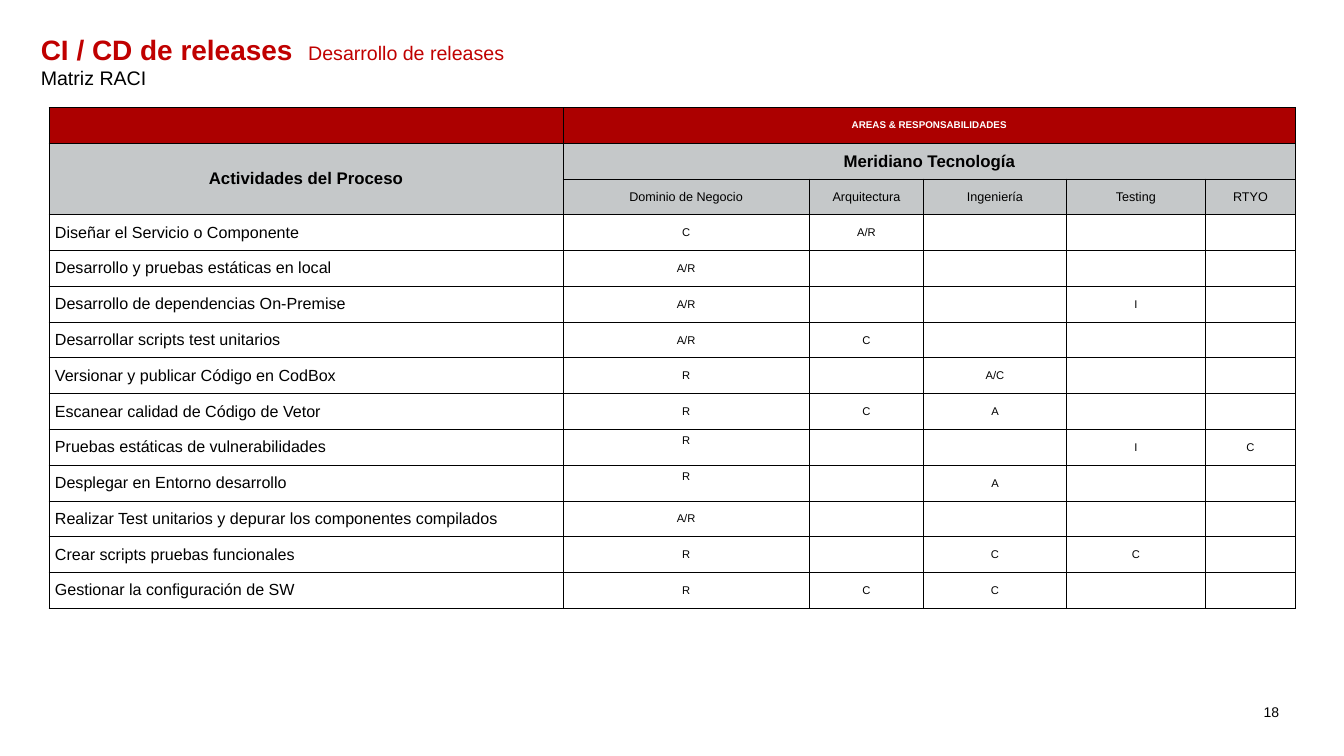
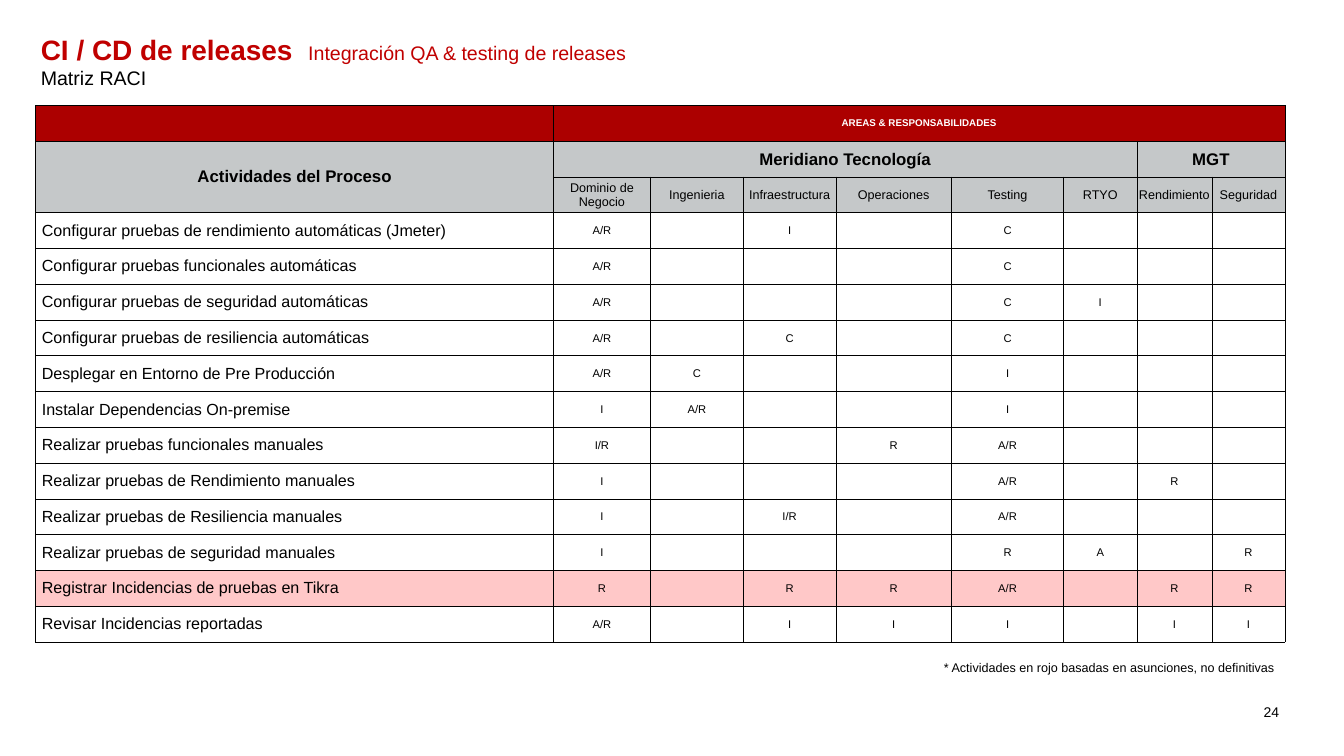
from pptx import Presentation
from pptx.dml.color import RGBColor
from pptx.enum.text import MSO_ANCHOR, MSO_AUTO_SIZE, PP_ALIGN
from pptx.oxml.xmlchemy import OxmlElement
from pptx.util import Inches, Pt

LEFT, CENTER = PP_ALIGN.LEFT, PP_ALIGN.CENTER
TOP, MIDDLE = MSO_ANCHOR.TOP, MSO_ANCHOR.MIDDLE
NO_FIT = MSO_AUTO_SIZE.NONE
TITLE_ONLY = 5

COLORS = {"title": "C00000", "band": "AC0000", "header": "C5C8C9",
          "assumed": "FFC8C8", "text": "000000", "white": "FFFFFF"}
FONT = "Arial"
ROW_H = 0.71
HEADER_ROWS = 3
TIGHT = (0.01, 0.01, 0.01, 0)
RAISED = (0.01, 0.01, 0.01, 0.28)
ACTIVITY = (0.12, 0.1, 0.08, 0.1)

DEVELOPMENT = {
    "box": (0.97, 2.13),
    "widths": [10.2, 4.89, 2.27, 2.83, 2.76, 1.79],
    "groups": [("Meridiano Tecnología", 5)],
    "areas": ["Dominio de Negocio", "Arquitectura", "Ingeniería", "Testing", "RTYO"],
    "rows": [
        ("Diseñar el Servicio o Componente", "C|A/R|||"),
        ("Desarrollo y pruebas estáticas en local", "A/R||||"),
        ("Desarrollo de dependencias On-Premise", "A/R|||I|"),
        ("Desarrollar scripts test unitarios", "A/R|C|||"),
        ("Versionar y publicar Código en CodBox", "R||A/C||"),
        ("Escanear calidad de Código de Vetor", "R|C|A||"),
        ("Pruebas estáticas de vulnerabilidades", "R|||I|C"),
        ("Desplegar en Entorno desarrollo", "R||A||"),
        ("Realizar Test unitarios y depurar los componentes compilados", "A/R||||"),
        ("Crear scripts pruebas funcionales", "R||C|C|"),
        ("Gestionar la configuración de SW", "R|C|C||"),
    ],
    "raised": {6, 7},
}

TESTING = {
    "box": (0.71, 2.09),
    "widths": [10.27, 1.93, 1.84, 1.84, 2.29, 2.23, 1.45, 1.49, 1.45],
    "groups": [("Meridiano Tecnología", 6), ("MGT", 2)],
    "areas": ["Dominio de Negocio", "Ingenieria", "Infraestructura", "Operaciones",
              "Testing", "RTYO", "Rendimiento", "Seguridad"],
    "rows": [
        ("Configurar pruebas de rendimiento automáticas (Jmeter)", "A/R||I||C|||"),
        ("Configurar pruebas funcionales automáticas", "A/R||||C|||"),
        ("Configurar pruebas de seguridad automáticas", "A/R||||C|I||"),
        ("Configurar pruebas de resiliencia automáticas", "A/R||C||C|||"),
        ("Desplegar en Entorno de Pre Producción", "A/R|C|||I|||"),
        ("Instalar Dependencias On-premise", "I|A/R|||I|||"),
        ("Realizar pruebas funcionales manuales", "I/R|||R|A/R|||"),
        ("Realizar pruebas de Rendimiento manuales", "I||||A/R||R|"),
        ("Realizar pruebas de Resiliencia manuales", "I||I/R||A/R|||"),
        ("Realizar pruebas de seguridad manuales", "I||||R|A||R"),
        ("Registrar Incidencias de pruebas en Tikra", "R||R|R|A/R||R|R"),
        ("Revisar Incidencias reportadas", "A/R||I|I|I||I|I"),
    ],
    "assumed": {10},
}


def rgb(name):
    return RGBColor.from_string(COLORS[name])


def add_run(p, text, size, color="text", bold=False, align=LEFT):
    p.alignment = align
    r = p.add_run()
    r.text = text
    r.font.name, r.font.size, r.font.bold = FONT, Pt(size), bold
    r.font.color.rgb = rgb(color)


def add_title(s, topic, height):
    title = s.shapes.title
    title.left, title.top = Inches(0.71), Inches(0.59)
    title.width, title.height = Inches(24.73), Inches(height)
    tf = title.text_frame
    tf.auto_size, tf.word_wrap, tf.vertical_anchor = NO_FIT, True, TOP
    p = tf.paragraphs[0]
    add_run(p, "CI / CD de releases  ", 40, "title", bold=True)
    add_run(p, topic, 28, "title")
    add_run(tf.add_paragraph(), "Matriz RACI", 28)


def add_label(s, box, text, size, wrap=True):
    tf = s.shapes.add_textbox(*map(Inches, box)).text_frame
    tf.word_wrap = wrap
    add_run(tf.paragraphs[0], text, size, align=CENTER)


def style_cell(cell, fill=None):
    """Outline the cell in thin black; the borders must precede the fill."""
    tcPr = cell._tc.get_or_add_tcPr()
    for side in ("a:lnL", "a:lnR", "a:lnT", "a:lnB"):
        ln = OxmlElement(side)
        ln.set("w", str(Pt(1)))
        solid = OxmlElement("a:solidFill")
        color = OxmlElement("a:srgbClr")
        color.set("val", COLORS["text"])
        solid.append(color)
        ln.append(solid)
        tcPr.append(ln)
    if fill:
        cell.fill.solid()
        cell.fill.fore_color.rgb = rgb(fill)
    else:
        cell.fill.background()


def write_cell(cell, text, size, margins=TIGHT, align=CENTER, **fmt):
    cell.vertical_anchor = MIDDLE
    (cell.margin_left, cell.margin_top,
     cell.margin_right, cell.margin_bottom) = map(Inches, margins)
    add_run(cell.text_frame.paragraphs[0], text, size, align=align, **fmt)


def fill_header(table, groups, areas):
    last = len(areas)
    table.cell(0, 1).merge(table.cell(0, last))
    write_cell(table.cell(0, 1), "AREAS & RESPONSABILIDADES", 14, color="white", bold=True)
    table.cell(1, 0).merge(table.cell(2, 0))
    write_cell(table.cell(1, 0), "Actividades del Proceso", 24, bold=True)
    col = 1
    for name, span in groups:
        table.cell(1, col).merge(table.cell(1, col + span - 1))
        write_cell(table.cell(1, col), name, 24, bold=True)
        col += span
    for col, area in enumerate(areas, 1):
        write_cell(table.cell(2, col), area, 18)


def add_raci_table(s, box, widths, groups, areas, rows, raised=(), assumed=()):
    """Rows pair an activity with its marks; raised and assumed hold row indexes."""
    n_rows = HEADER_ROWS + len(rows)
    size = (sum(widths), n_rows * ROW_H)
    table = s.shapes.add_table(n_rows, len(widths), *map(Inches, box + size)).table
    table.first_row = table.horz_banding = False
    for column, width in zip(table.columns, widths):
        column.width = Inches(width)
    fills = ["band", "header", "header"]
    fills += ["assumed" if i in assumed else None for i in range(len(rows))]
    for row, fill in zip(table.rows, fills):
        row.height = Inches(ROW_H)
        for cell in row.cells:
            style_cell(cell, fill)
    fill_header(table, groups, areas)
    for i, (activity, marks) in enumerate(rows):
        row = i + HEADER_ROWS
        write_cell(table.cell(row, 0), activity, 23, ACTIVITY, LEFT)
        for col, mark in enumerate(marks.split("|"), 1):
            if mark:
                margins = RAISED if i in raised and col == 1 else TIGHT
                write_cell(table.cell(row, col), mark, 16, margins)


def add_raci_slide(prs, topic, number, matrix, title_height):
    s = prs.slides.add_slide(prs.slide_layouts[TITLE_ONLY])
    add_label(s, (24.1, 13.9, 2.26, 0.8), number, 20)
    add_title(s, topic, title_height)
    add_raci_table(s, **matrix)
    return s


def main():
    prs = Presentation()
    prs.slide_width, prs.slide_height = Inches(26.67), Inches(15)
    add_raci_slide(prs, "Desarrollo de releases", "18", DEVELOPMENT, 1.25)
    s = add_raci_slide(prs, "Integración QA & testing de releases", "24", TESTING, 1.72)
    add_label(s, (18.53, 13.05, 6.96, 0.4),
              "* Actividades en rojo basadas en asunciones, no definitivas", 18, wrap=False)
    prs.save("out.pptx")


if __name__ == "__main__":
    main()
